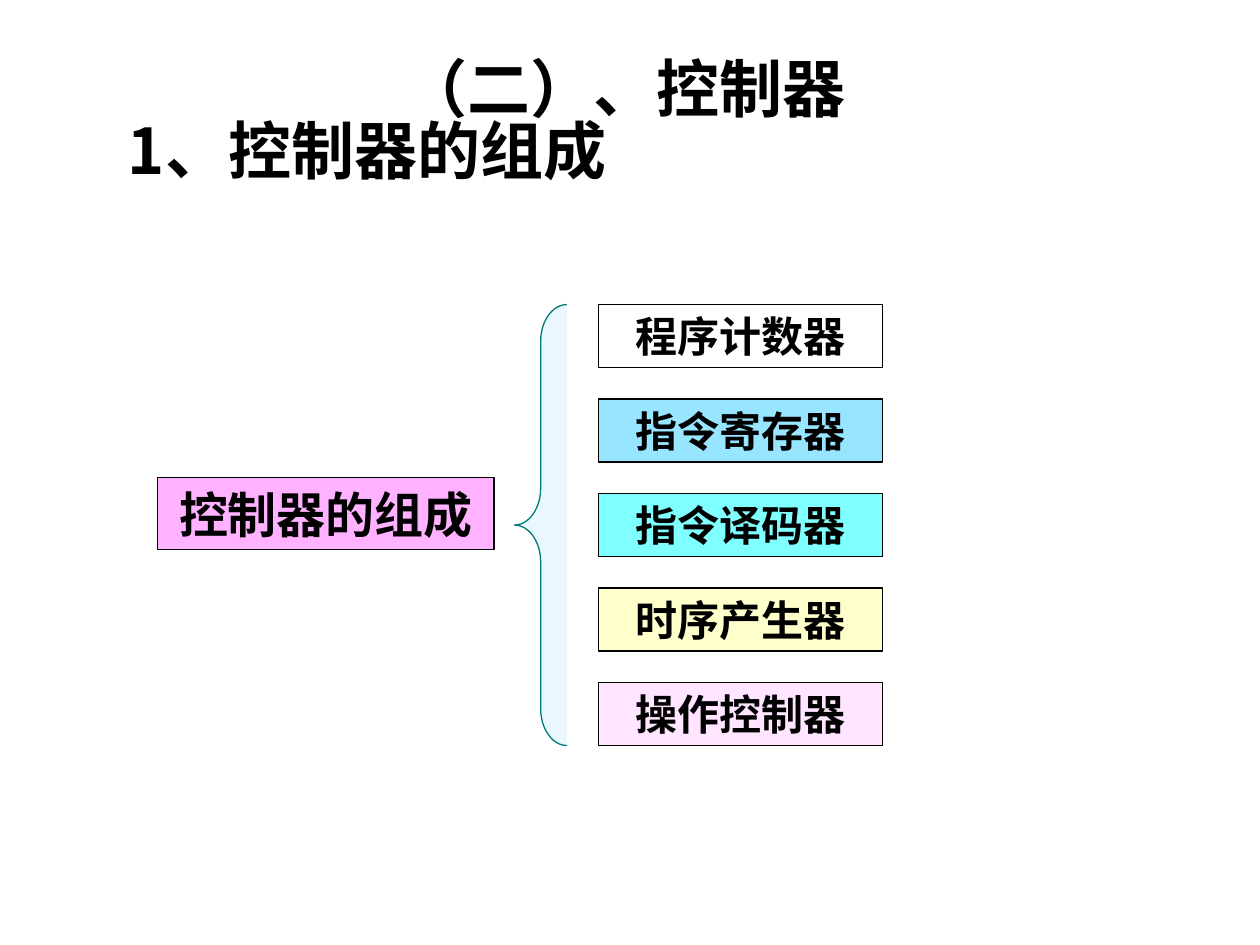
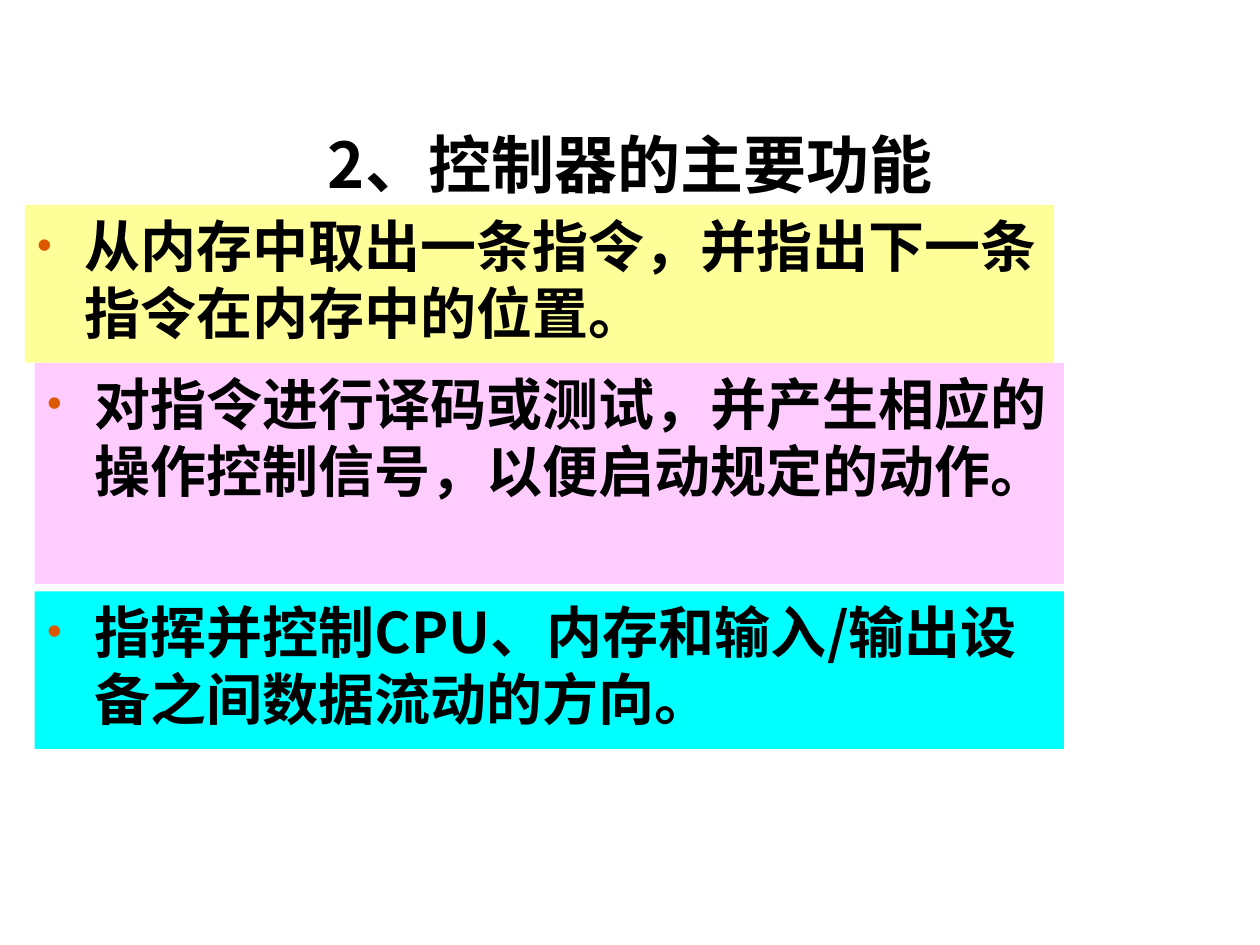
from dataclasses import dataclass

from lxml import etree
from pptx import Presentation
from pptx import util as u
from pptx.dml.color import RGBColor
from pptx.enum import shapes, text
from pptx.oxml.ns import qn


@dataclass(frozen=True)
class Theme:
    cjk: str = "Noto Sans CJK SC"
    latin: str = "Arial"
    ink: str = "000000"
    brace_fill: str = "EBF7FF"
    brace_line: str = "007A77"
    bullet: str = "DC5900"
    pink: str = "FF66FF"
    white: str = "FFFFFF"
    sky: str = "33CCFF"
    cyan: str = "00FFFF"
    yellow: str = "FFFF99"
    lilac: str = "FFCCFF"
    title_size: int = 36
    body_size: int = 32
    whole_size: int = 28
    unit_size: int = 24
    hairline: float = 0.75


T = Theme()
MSO = shapes.MSO_SHAPE


def color(value):
    return RGBColor.from_string(value)


def box(left, top, width, height):
    return [u.Cm(v) for v in (left, top, width, height)]


def write(sp, words, size, font=T.cjk, align=text.PP_ALIGN.CENTER,
          anchor=text.MSO_ANCHOR.MIDDLE):
    """Put one bold paragraph into a shape and return the paragraph."""
    tf = sp.text_frame
    tf.text = words
    tf.word_wrap = True
    tf.auto_size = text.MSO_AUTO_SIZE.NONE
    tf.vertical_anchor = anchor
    p = tf.paragraphs[0]
    p.alignment = align
    for r in p.runs:
        r.font.name, r.font.size, r.font.bold = font, u.Pt(size), True
        r.font.color.rgb = color(T.ink)
        if font == T.cjk:
            etree.SubElement(r.font._element, qn("a:ea"), typeface=font)
    return p


def add_title(s, words, place):
    sp = s.shapes.title
    sp.left, sp.top, sp.width, sp.height = place
    write(sp, words, T.title_size)


def add_filled(s, kind, place, fill, line=None, alpha=None):
    sp = s.shapes.add_shape(kind, *place)
    sp.shadow.inherit = False
    sp.fill.solid()
    sp.fill.fore_color.rgb = color(fill)
    if alpha:
        clr = sp._element.spPr.find(qn("a:solidFill"))[0]
        etree.SubElement(clr, qn("a:alpha"), val=str(alpha * 1000))
    if line:
        sp.line.color.rgb = color(line)
        sp.line.width = u.Pt(T.hairline)
    else:
        sp.line.fill.background()
    return sp


def add_node(s, words, place, fill, size):
    sp = add_filled(s, MSO.FLOWCHART_PROCESS, place, fill, T.ink, alpha=50)
    write(sp, words, size)


def add_bullet_band(s, words, place, fill):
    sp = add_filled(s, MSO.RECTANGLE, place, fill)
    p = write(sp, words, T.body_size, align=text.PP_ALIGN.LEFT,
              anchor=text.MSO_ANCHOR.TOP)
    pPr = p._p.get_or_add_pPr()
    indent = u.Cm(0.95)
    pPr.set("marL", str(indent))
    pPr.set("indent", str(-indent))
    clr = etree.SubElement(pPr, qn("a:buClr"))
    etree.SubElement(clr, qn("a:srgbClr"), val=T.bullet)
    etree.SubElement(pPr, qn("a:buSzPct"), val="75000")
    etree.SubElement(pPr, qn("a:buFont"), typeface=T.latin)
    etree.SubElement(pPr, qn("a:buChar"), char="•")


def add_slide(prs):
    return prs.slides.add_slide(prs.slide_layouts[5])


def build_composition(prs):
    s = add_slide(prs)

    # Headings
    add_title(s, "1、控制器的组成", box(1.9, 2.36, 11, 1.3))
    heading = s.shapes.add_textbox(*box(0.5, 0.87, 24.2, 1.78))
    write(heading, "（二）、控制器", T.title_size, font=T.latin,
          anchor=text.MSO_ANCHOR.TOP)

    # Whole and brace
    top, height = 6.14, 8.89
    add_node(s, "控制器的组成", box(3.18, 9.63, 6.78, 1.45), T.pink,
             T.whole_size)
    brace = add_filled(s, MSO.LEFT_BRACE, box(10.37, top, 1.06, height),
                       T.brace_fill, T.brace_line)
    brace.adjustments[0] = 0.7

    # Units, spread evenly over the height of the brace
    units = [("程序计数器", T.white), ("指令寄存器", T.sky),
             ("指令译码器", T.cyan), ("时序产生器", T.yellow),
             ("操作控制器", T.lilac)]
    unit_height = 1.27
    step = (height - unit_height) / (len(units) - 1)
    for i, (words, fill) in enumerate(units):
        add_node(s, words, box(12.07, top + i * step, 5.72, unit_height),
                 fill, T.unit_size)


def build_functions(prs):
    s = add_slide(prs)
    add_title(s, "2、控制器的主要功能", box(0.84, 1.7, 23.72, 3.18))

    # Bullet bands: left, top, height, fill, words
    bands = [
        (0.5, 4.13, 3.18, T.yellow,
         "从内存中取出一条指令，并指出下一条指令在内存中的位置。"),
        (0.7, 7.32, 4.45, T.lilac,
         "对指令进行译码或测试，并产生相应的操作控制信号，以便启动规定的动作。"),
        (0.7, 11.92, 3.18, T.cyan,
         "指挥并控制CPU、内存和输入/输出设备之间数据流动的方向。"),
    ]
    for left, top, height, fill, words in bands:
        add_bullet_band(s, words, box(left, top, 20.75, height), fill)


def main():
    prs = Presentation()
    prs.slide_width, prs.slide_height = u.Cm(25.4), u.Cm(19.05)
    build_composition(prs)
    build_functions(prs)
    prs.save("out.pptx")


if __name__ == "__main__":
    main()
